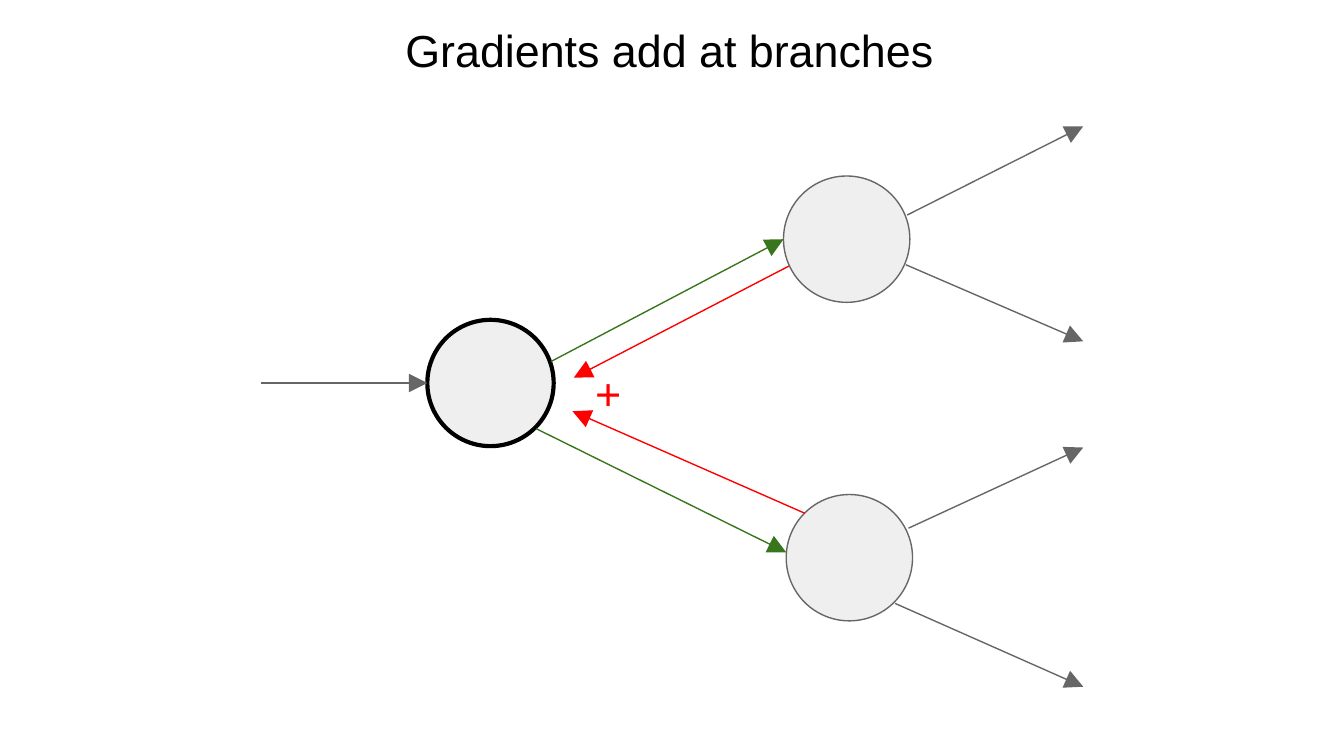
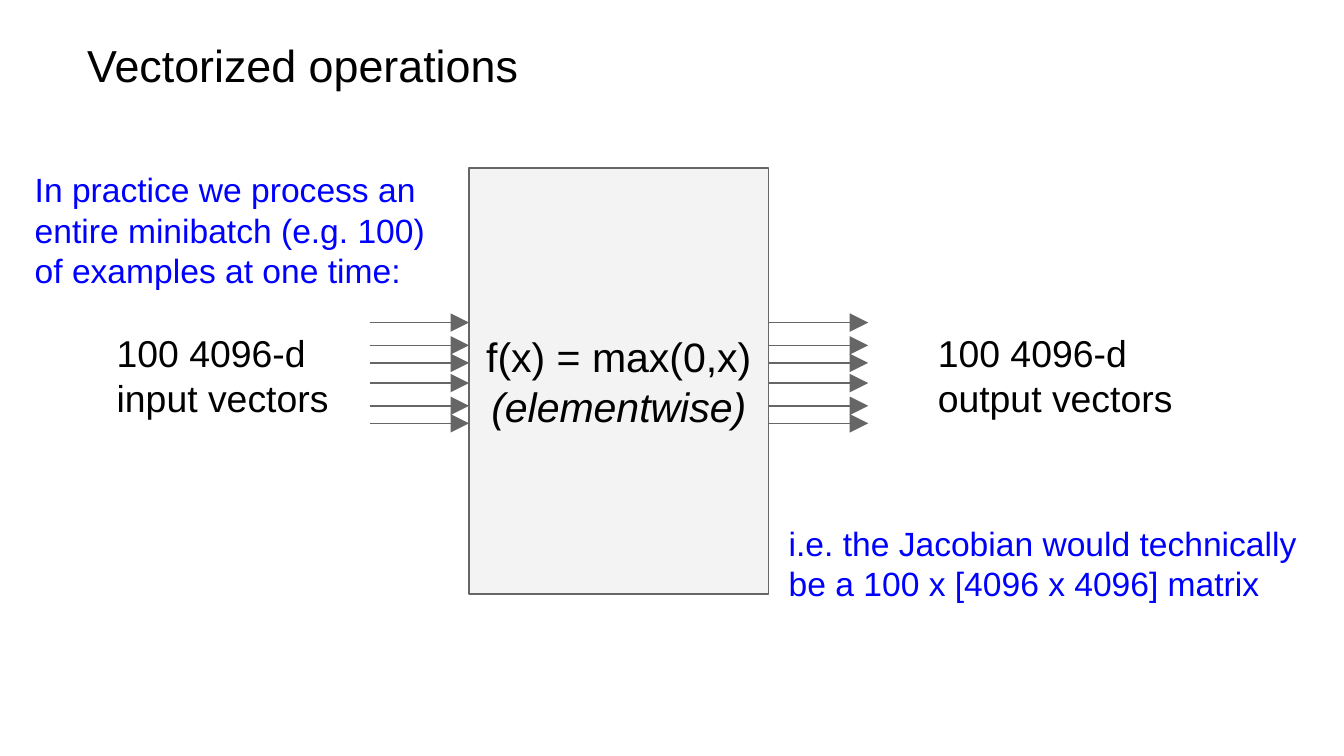
import dataclasses
import typing

import pptx
import pptx.dml.color
import pptx.enum.shapes
import pptx.enum.text
import pptx.oxml.ns
import pptx.util
from lxml import etree

Color = pptx.dml.color.RGBColor
Align = pptx.enum.text.PP_ALIGN
Anchor = pptx.enum.text.MSO_ANCHOR
Preset = pptx.enum.shapes.MSO_SHAPE

EMU_PER_PX = 9144
PAGE_WIDTH = 1000
FONT = "Arial"
TITLE_SIZE = 24
NOTE_SIZE = 18
LABEL_SIZE = 20
FORMULA_SIZE = 22
INSET = 10
NODE_DIAMETER = 94

BLACK = Color(0x00, 0x00, 0x00)
GRAY = Color(0x66, 0x66, 0x66)
NODE_FILL = Color(0xEF, 0xEF, 0xEF)
GATE_FILL = Color(0xF3, 0xF3, 0xF3)
GREEN = Color(0x38, 0x76, 0x1D)
RED = Color(0xFF, 0x00, 0x00)
BLUE = Color(0x00, 0x00, 0xFF)


@dataclasses.dataclass(frozen=True)
class Rect:
    left: int
    top: int
    width: int
    height: int


@dataclasses.dataclass(frozen=True)
class Node:
    left: int
    top: int
    line_color: Color = GRAY
    line_width: float = 0.75


@dataclasses.dataclass(frozen=True)
class Arrow:
    start: tuple[int, int]
    end: tuple[int, int]
    color: Color = GRAY


NODES = (
    Node(318, 238, BLACK, 2.25),
    Node(583, 131),
    Node(585, 368),
)

GRAPH_ARROWS = (
    Arrow((410, 269), (583, 178), GREEN),
    Arrow((399, 319), (585, 411), GREEN),
    Arrow((587, 198), (427, 281), RED),
    Arrow((599, 382), (426, 306), RED),
    Arrow((675, 160), (806, 94)),
    Arrow((674, 197), (806, 254)),
    Arrow((676, 393), (806, 333)),
    Arrow((666, 449), (806, 511)),
    Arrow((194, 285), (318, 285)),
)

GATE = Rect(349, 125, 223, 317)
VECTOR_LENGTH = 74
VECTOR_STARTS = (GATE.left - VECTOR_LENGTH, GATE.left + GATE.width)
VECTOR_ROWS = (240, 257, 270, 285, 302, 315)


def px(value: int) -> pptx.util.Emu:
    return pptx.util.Emu(value * EMU_PER_PX)


def place(rect: Rect) -> tuple[pptx.util.Emu, ...]:
    return tuple(px(value) for value in dataclasses.astuple(rect))


def write_text(
    box: typing.Any,
    text: str,
    *,
    size: int,
    color: Color = BLACK,
    align: Align = Align.LEFT,
    anchor: Anchor = Anchor.TOP,
    italic_lines: tuple[int, ...] = (),
) -> None:
    frame = box.text_frame
    frame.word_wrap = True
    frame.vertical_anchor = anchor
    frame.margin_left = frame.margin_right = px(INSET)
    frame.margin_top = frame.margin_bottom = px(INSET)
    for index, line in enumerate(text.split("\n")):
        para = frame.add_paragraph() if index else frame.paragraphs[0]
        para.alignment = align
        span = para.add_run()
        span.text = line
        span.font.name = FONT
        span.font.size = pptx.util.Pt(size)
        span.font.color.rgb = color
        span.font.italic = index in italic_lines


def add_text(page: typing.Any, rect: Rect, text: str, **style: typing.Any) -> None:
    write_text(page.shapes.add_textbox(*place(rect)), text, **style)


def add_title(page: typing.Any, rect: Rect, text: str, align: Align = Align.LEFT) -> None:
    add_text(page, rect, text, size=TITLE_SIZE, align=align)


def add_outlined(
    page: typing.Any,
    preset: Preset,
    rect: Rect,
    fill: Color,
    line_color: Color = GRAY,
    line_width: float = 0.75,
) -> typing.Any:
    shape = page.shapes.add_shape(preset, *place(rect))
    shape.shadow.inherit = False
    shape.fill.solid()
    shape.fill.fore_color.rgb = fill
    shape.line.color.rgb = line_color
    shape.line.width = pptx.util.Pt(line_width)
    return shape


def add_node(page: typing.Any, node: Node) -> None:
    rect = Rect(node.left, node.top, NODE_DIAMETER, NODE_DIAMETER)
    add_outlined(page, Preset.OVAL, rect, NODE_FILL, node.line_color, node.line_width)


def add_arrow(page: typing.Any, arrow: Arrow) -> None:
    ends = (px(value) for value in (*arrow.start, *arrow.end))
    connector = page.shapes.add_connector(pptx.enum.shapes.MSO_CONNECTOR.STRAIGHT, *ends)
    connector.line.color.rgb = arrow.color
    connector.line.width = pptx.util.Pt(0.75)
    properties = connector.element.spPr
    outline = properties.find(pptx.oxml.ns.qn("a:ln"))
    head = etree.SubElement(outline, pptx.oxml.ns.qn("a:tailEnd"))
    head.set("type", "triangle")
    head.set("w", "lg")
    head.set("len", "lg")
    etree.SubElement(properties, pptx.oxml.ns.qn("a:effectLst"))


def build_branches(page: typing.Any) -> None:
    add_title(page, Rect(42, 7, 912, 60), "Gradients add at branches", Align.CENTER)
    for node in NODES:
        add_node(page, node)
    for arrow in GRAPH_ARROWS:
        add_arrow(page, arrow)
    add_text(page, Rect(433, 262, 43, 45), "+", size=TITLE_SIZE, color=RED)


def build_vectorized(page: typing.Any) -> None:
    add_title(page, Rect(55, 18, 795, 61), "Vectorized operations")
    for left in VECTOR_STARTS:
        for row in VECTOR_ROWS:
            add_arrow(page, Arrow((left, row), (left + VECTOR_LENGTH, row)))
    add_text(page, Rect(77, 236, 266, 51), "100 4096-d\ninput vectors", size=LABEL_SIZE)
    add_text(page, Rect(688, 236, 206, 51), "100 4096-d\noutput vectors", size=LABEL_SIZE)
    add_text(
        page,
        Rect(16, 116, 325, 71),
        "In practice we process an entire minibatch (e.g. 100) of examples at one time:",
        size=NOTE_SIZE,
        color=BLUE,
    )
    add_text(
        page,
        Rect(577, 379, 422, 71),
        "i.e. the Jacobian would technically be a 100 x [4096 x 4096] matrix",
        size=NOTE_SIZE,
        color=BLUE,
    )
    gate = add_outlined(page, Preset.RECTANGLE, GATE, GATE_FILL)
    write_text(
        gate,
        "f(x) = max(0,x)\n(elementwise)",
        size=FORMULA_SIZE,
        align=Align.CENTER,
        anchor=Anchor.MIDDLE,
        italic_lines=(1,),
    )


def main() -> None:
    deck = pptx.Presentation()
    deck.slide_width = px(PAGE_WIDTH)
    deck.slide_height = px(PAGE_WIDTH) * 9 // 16
    blank = deck.slide_layouts[6]
    for build in (build_branches, build_vectorized):
        build(deck.slides.add_slide(blank))
    deck.save("out.pptx")


if __name__ == "__main__":
    main()
